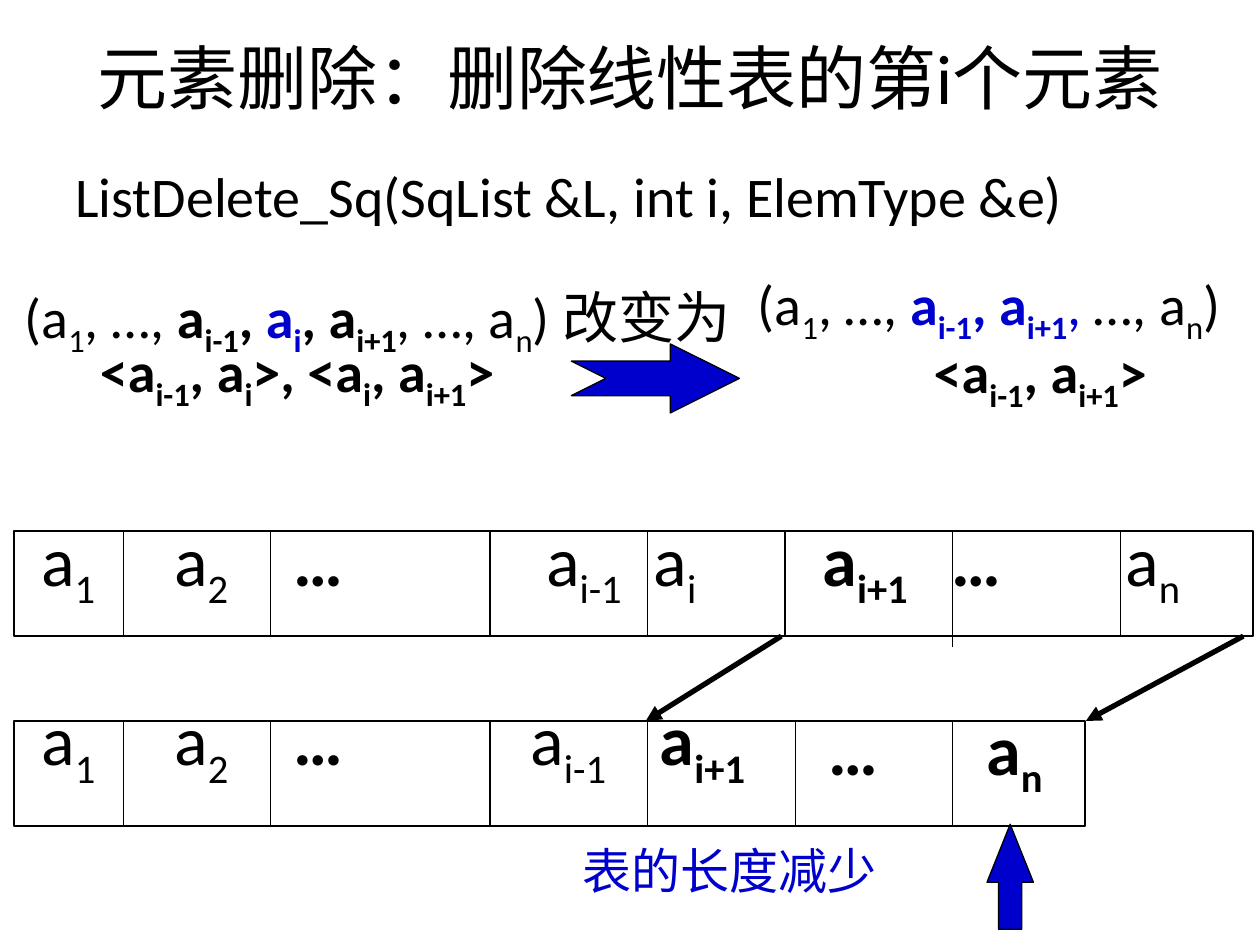
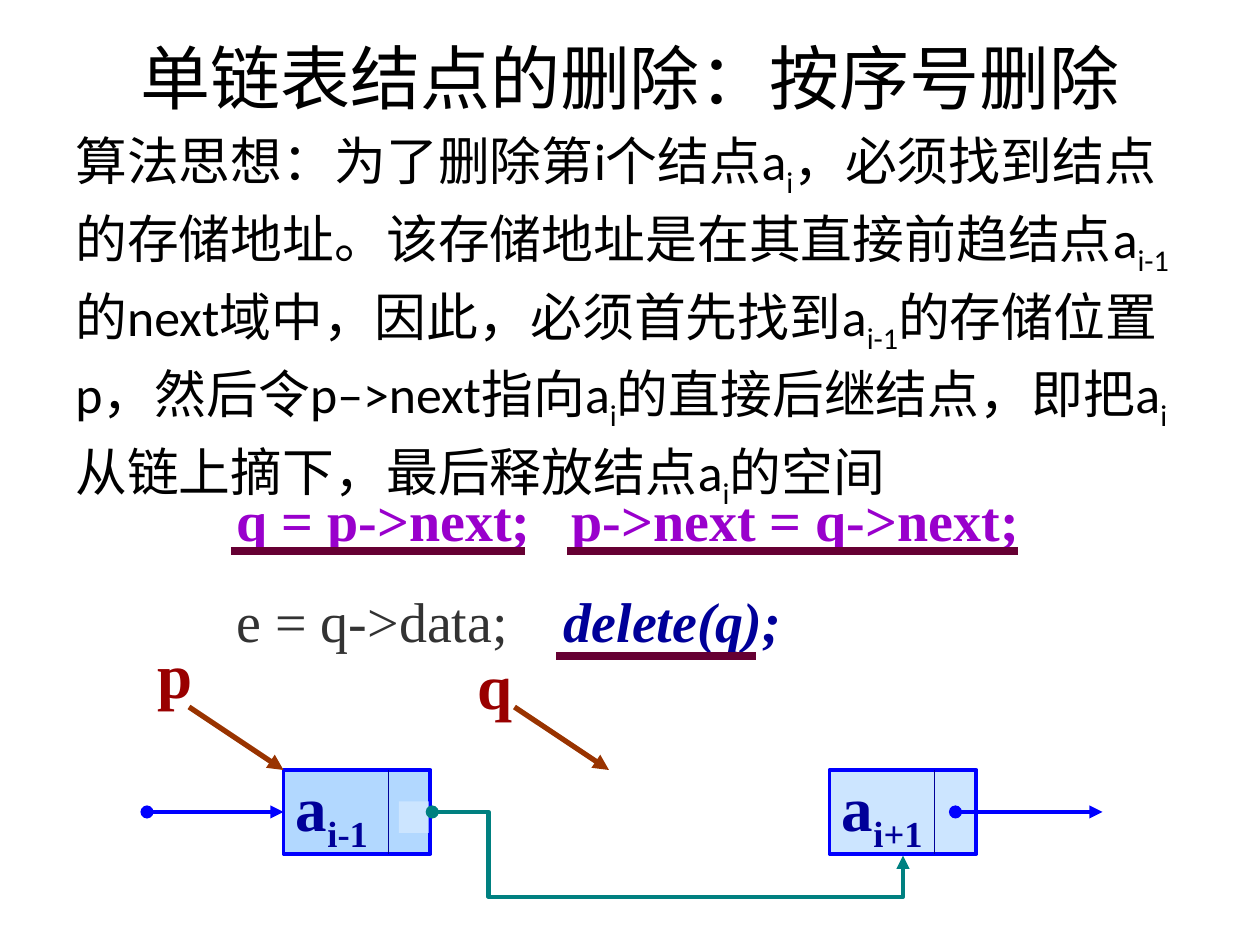
from lxml import etree
from pptx import Presentation
from pptx.dml.color import RGBColor
from pptx.enum.shapes import MSO_CONNECTOR, MSO_SHAPE
from pptx.enum.text import MSO_ANCHOR, PP_ALIGN
from pptx.oxml.ns import qn
from pptx.util import Pt

STRAIGHT, ELBOW = MSO_CONNECTOR.STRAIGHT, MSO_CONNECTOR.ELBOW
RECTANGLE = MSO_SHAPE.RECTANGLE
NOTCHED_ARROW, UP_ARROW = MSO_SHAPE.NOTCHED_RIGHT_ARROW, MSO_SHAPE.UP_ARROW
LEFT, CENTER = PP_ALIGN.LEFT, PP_ALIGN.CENTER
TOP, MIDDLE = MSO_ANCHOR.TOP, MSO_ANCHOR.MIDDLE

BLACK, ACCENT = "000000", "0000CC"
NODE_LINE, NODE_TEXT = "0000FF", "000099"
NODE_FILL, NODE_DARK_FILL = "CCE5FF", "B2D8FF"
POINTER_LINE, POINTER_TEXT = "993300", "990000"
CODE, CODE_PLAIN, UNDERLINE, LINK = "9900CC", "333333", "660033", "008080"
SANS, SERIF, LABEL = "Calibri", "Times New Roman", "Arial"


def color(value):
    """Turn a hex string into a colour."""
    return RGBColor.from_string(value)


class Deck:
    """Holds the presentation, its style and the current slide."""

    def __init__(self):
        """Start an empty presentation of 10 by 7.5 inches."""
        self.presentation = Presentation()
        self.presentation.slide_width = Pt(720)
        self.presentation.slide_height = Pt(540)
        self.slide = None

    def add_slide(self, title):
        """Add a slide with a formatted title."""
        layout = self.presentation.slide_layouts[5]
        self.slide = self.presentation.slides.add_slide(layout)
        shape = self.slide.shapes.title
        shape.left, shape.top = Pt(36), Pt(4.5)
        shape.width, shape.height = Pt(648), Pt(78)
        self.fill_text(shape, [[(title, {})]], 40, align=CENTER, anchor=MIDDLE)

    def fill_text(self, shape, paragraphs, size, font=SANS, fill=BLACK, bold=False,
                  align=LEFT, anchor=TOP, wrap=True, spacing=None, tabs=None):
        """Fill a shape with paragraphs of styled parts; tildes enclose subscripts."""
        frame = shape.text_frame
        frame.word_wrap, frame.vertical_anchor = wrap, anchor
        for index, parts in enumerate(paragraphs):
            paragraph = frame.add_paragraph() if index else frame.paragraphs[0]
            if tabs:
                properties = paragraph._p.get_or_add_pPr()
                stops = etree.SubElement(properties, qn("a:tabLst"))
                for stop in tabs[index]:
                    etree.SubElement(stops, qn("a:tab"), pos=str(int(Pt(stop))), algn="l")
            paragraph.alignment = align
            if spacing:
                paragraph.line_spacing = spacing
            for text, style in parts:
                self.add_runs(paragraph, text, size, font,
                              {"fill": fill, "bold": bold, **style})

    def add_runs(self, paragraph, text, size, font, style):
        """Add one run for each plain or subscript piece of the text."""
        for index, piece in enumerate(text.split("~")):
            if not piece:
                continue
            run = paragraph.add_run()
            run.text = piece
            run.font.size, run.font.name = Pt(size), font
            run.font.bold = style["bold"]
            run.font.italic = style.get("italic", False)
            run.font.color.rgb = color(style["fill"])
            if index % 2:
                run._r.get_or_add_rPr().set("baseline", "-25000")

    def text(self, left, top, width, height, paragraphs, size, wrap=False, **style):
        """Add a text box."""
        box = self.slide.shapes.add_textbox(Pt(left), Pt(top), Pt(width), Pt(height))
        self.fill_text(box, paragraphs, size, wrap=wrap, **style)

    def shape(self, kind, left, top, width, height, fill=None, line=None,
              weight=0.75, adjustments=()):
        """Add a preset shape."""
        shape = self.slide.shapes.add_shape(kind, Pt(left), Pt(top), Pt(width), Pt(height))
        shape.shadow.inherit = False
        for index, value in enumerate(adjustments):
            shape.adjustments[index] = value
        if fill:
            shape.fill.solid()
            shape.fill.fore_color.rgb = color(fill)
        else:
            shape.fill.background()
        if line:
            shape.line.color.rgb = color(line)
            shape.line.width = Pt(weight)
        else:
            shape.line.fill.background()
        return shape

    def line(self, start, end, stroke=BLACK, weight=0.75, head=None, tail=None,
             kind=STRAIGHT):
        """Add a connector, with arrowheads when named."""
        connector = self.slide.shapes.add_connector(
            kind, Pt(start[0]), Pt(start[1]), Pt(end[0]), Pt(end[1]))
        connector.line.color.rgb = color(stroke)
        connector.line.width = Pt(weight)
        outline = connector.line._get_or_add_ln()
        for tag, ending in (("a:headEnd", head), ("a:tailEnd", tail)):
            if ending:
                etree.SubElement(outline, qn(tag), type=ending)
        etree.SubElement(connector._element.spPr, qn("a:effectLst"))
        return connector

    def bent_line(self, start, end, bends, **style):
        """Add a connector with three corners, bent at the given fractions."""
        connector = self.line(start, end, kind=ELBOW, **style)
        geometry = connector._element.spPr.find(qn("a:prstGeom"))
        geometry.set("prst", "bentConnector4")
        guides = geometry.find(qn("a:avLst"))
        if guides is None:
            guides = etree.SubElement(geometry, qn("a:avLst"))
        for index, bend in enumerate(bends, 1):
            etree.SubElement(guides, qn("a:gd"), name=f"adj{index}",
                             fmla=f"val {round(bend * 100000)}")

    def array(self, top, width, dividers):
        """Draw the frame and dividers of a sequential list."""
        for x in dividers:
            self.line((x, top), (x, top + 60))
        self.shape(RECTANGLE, 8, top, width, 60, line=BLACK)

    def node(self, left, label, fill):
        """Draw a linked list node with its pointer field."""
        shape = self.shape(RECTANGLE, left, 440, 84, 48, fill, NODE_LINE, 2.25)
        self.fill_text(shape, [[(label, {})]], 36, font=SERIF, fill=NODE_TEXT, bold=True,
                       anchor=MIDDLE, wrap=False)
        self.line((left + 60, 440), (left + 60, 488), NODE_TEXT)

    def pointer(self, name, left, top, start):
        """Draw a pointer name and its arrow."""
        self.line((start, 404), (start + 54, 440), POINTER_LINE, 3, tail="triangle")
        self.text(left, top, 34.5, 50.5, [[(name, {})]], 36, font=SERIF,
                  fill=POINTER_TEXT, bold=True)


def build_sequential_delete(deck):
    """Build the slide on deleting from a sequential list."""
    strong, blue = {"bold": True}, {"bold": True, "fill": ACCENT}
    deck.add_slide("元素删除：删除线性表的第i个元素")
    deck.text(36, 88.5, 648, 50, [[("ListDelete_Sq(SqList &L, int i, ElemType &e)", {})]],
              32, wrap=True)
    deck.text(7, 147, 432, 52, [[
        ("(a~1~, …, ", {}), ("a~i-1~, ", strong), ("a~i~", blue),
        (", a~i+1~", strong), (", …, a~n~) 改变为", {})]], 32, spacing=1.25)
    deck.text(426, 150.5, 291, 46, [[
        ("(a~1~, …, ", {}), ("a~i-1~, a~i+1~", blue), (", ", {"fill": ACCENT}),
        ("…, a~n~)", {})]], 32)
    for left, top, width, pairs in ((50, 188.5, 250, "<a~i-1~, a~i~>, <a~i~, a~i+1~>"),
                                    (526.5, 189.5, 144, "<a~i-1~, a~i+1~>")):
        deck.text(left, top, width, 46, [[(pairs, {})]], 32, bold=True)
    deck.shape(NOTCHED_ARROW, 326.5, 196.5, 96, 39.5, ACCENT, BLACK, adjustments=(0.5, 1))

    shared_dividers = [70.5, 154.5, 280, 370]
    deck.array(303.5, 708, shared_dividers + [448.5, 640.5])
    deck.line((544.5, 303.5), (544.5, 369.5))
    deck.text(16.5, 291.5, 703, 55.5, [[
        ("a~1~\ta~2~\t", {}), ("…\t", strong), ("a~i-1~\ta~i~\t", {}),
        ("a~i+1~\t…\t", strong), ("a~n~", {})]], 40, wrap=True,
        tabs=[[76, 144, 288.5, 350, 446.5, 520, 619.5]])
    deck.array(412, 612, shared_dividers + [454.5, 544.5])
    deck.text(16.5, 394, 356, 55.5, [[
        ("a~1~\ta~2~\t", {}), ("…\t", strong), ("a~i-1~", {})]], 40, wrap=True,
        tabs=[[76, 144, 279.5]])
    for left, top, width, label in ((370, 394, 68.5, "a~i+1~"), (466.5, 399.5, 43, "…"),
                                    (556.5, 399.5, 49, "a~n~")):
        deck.text(left, top, width, 55.5, [[(label, {})]], 40, bold=True)
    for start, end in ((446.5, 369), (710.5, 620.5)):
        deck.line((start, 363.5), (end, 412), weight=3, tail="triangle")
    deck.text(326, 476.5, 184.5, 41, [[("表的长度减少", {})]], 28, font=LABEL, fill=ACCENT)
    deck.shape(UP_ARROW, 564, 471, 26.5, 60, ACCENT, BLACK, adjustments=(0.5, 1.25))


def build_linked_delete(deck):
    """Build the slide on deleting a node from a linked list."""
    deck.add_slide("单链表结点的删除：按序号删除")
    deck.text(36, 66, 659, 217, [[(
        "算法思想：为了删除第i个结点a~i~，必须找到结点的存储地址。"
        "该存储地址是在其直接前趋结点a~i-1~的next域中，因此，必须首先找到a~i-1~"
        "的存储位置p，然后令p–>next指向a~i~的直接后继结点，"
        "即把a~i~从链上摘下，最后释放结点a~i~的空间", {})]], 29.6, wrap=True, spacing=1.1)

    deck.node(162, "a~i-1~", NODE_DARK_FILL)
    deck.shape(RECTANGLE, 228, 458, 17, 18, NODE_FILL)
    deck.node(474, "a~i+1~", NODE_FILL)
    for start, end in ((84, 162), (546, 630)):
        deck.line((start, 464), (end, 464), NODE_LINE, 2.5, head="oval", tail="triangle")
    deck.bent_line((247, 464), (516, 489), (0.12, 1.94), stroke=LINK, weight=2.5,
                   head="oval", tail="triangle")

    deck.text(128, 255, 478, 122.5, [
        [("q = p->next;\tp->next = q->next;", {"bold": True, "fill": CODE})],
        [("e = q->data;\t", {"fill": CODE_PLAIN}),
         ("delete(q);", {"bold": True, "italic": True, "fill": NODE_TEXT})]],
        32, font=SERIF, wrap=True, spacing=1.5, tabs=[[191.5], [187]])
    for start, end, y in ((132, 300, 315), (324, 582, 315), (318, 432, 375)):
        deck.line((start, y), (end, y), UNDERLINE, 4.5)
    deck.pointer("p", 83, 359.5, 108)
    deck.pointer("q", 266, 366, 294)


def main():
    """Build and save the presentation."""
    deck = Deck()
    build_sequential_delete(deck)
    build_linked_delete(deck)
    deck.presentation.save("out.pptx")


if __name__ == "__main__":
    main()
